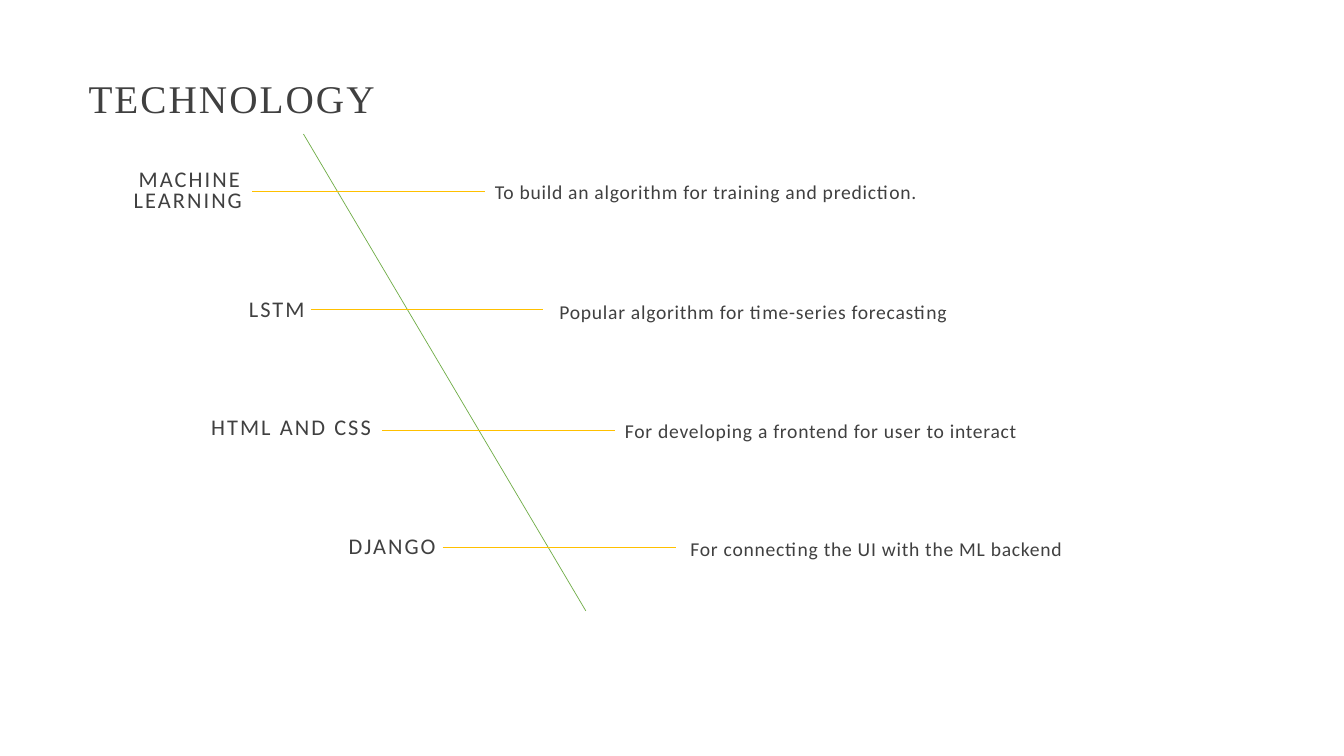
"""Build the technology slide: four labelled branches along a diagonal line."""
import pptx
import pptx.util
import pptx.dml.color
import pptx.enum.shapes
import pptx.enum.text
import lxml.etree

PX = 9144
DARK = pptx.dml.color.RGBColor(0x40, 0x40, 0x40)
GREEN = pptx.dml.color.RGBColor(0x70, 0xAD, 0x47)
GOLD = pptx.dml.color.RGBColor(0xFF, 0xC0, 0x00)
ALIGN = pptx.enum.text.PP_ALIGN
ANCHOR = pptx.enum.text.MSO_ANCHOR

presentation = pptx.Presentation()
presentation.slide_width = 1333 * PX
presentation.slide_height = 750 * PX
slide = presentation.slides.add_slide(presentation.slide_layouts[6])


def add_text(box, text, size, tracking, font="Calibri", anchor=ANCHOR.MIDDLE,
             align=ALIGN.LEFT, line_spacing=1.0, space_before=10):
    shape = slide.shapes.add_textbox(*(length * PX for length in box))
    frame = shape.text_frame
    frame.word_wrap = True
    frame.vertical_anchor = anchor
    paragraph = frame.paragraphs[0]
    paragraph.alignment = align
    paragraph.line_spacing = line_spacing
    paragraph.space_before = pptx.util.Pt(space_before)
    run = paragraph.add_run()
    run.text = text
    run.font.name = font
    run.font.size = pptx.util.Pt(size)
    run.font.color.rgb = DARK
    run.font._element.set("spc", str(tracking))


def add_line(ends, color):
    connector = slide.shapes.add_connector(
        pptx.enum.shapes.MSO_CONNECTOR.STRAIGHT, *(length * PX for length in ends))
    connector.line.color.rgb = color
    connector.line.width = pptx.util.Pt(0.5)
    lxml.etree.SubElement(connector._element.spPr, pptx.oxml.ns.qn("a:effectLst"))


add_text((78, 68, 446, 64), "TECHNOLOGY", 28, 150, font="Times New Roman",
         line_spacing=0.9, space_before=0)
add_line((301, 133, 581, 606), GREEN)

branches = [
    ("MACHINE LEARNING", 16, 162, 0.8, 250, 190,
     "To build an algorithm for training and prediction.", 481, 174),
    ("LSTM", 78, 280, 0.9, 308, 307,
     "Popular algorithm for time-series forecasting", 545, 293),
    ("HTML AND CSS", 144, 397, 0.9, 379, 427,
     "For developing a frontend for user to interact", 610, 411),
    ("DJANGO", 208, 515, 0.9, 439, 543,
     "For connecting the UI with the ML backend", 675, 528),
]
for (label, label_left, label_top, label_spacing, line_left, line_top,
     description, description_left, description_top) in branches:
    add_text((label_left, label_top, 234, 56), label, 16, 150,
             align=ALIGN.RIGHT, line_spacing=label_spacing)
    add_text((description_left, description_top, 606, 111), description, 14, 50,
             anchor=ANCHOR.TOP)
    add_line((line_left, line_top, line_left + 231, line_top), GOLD)

presentation.save("out.pptx")
